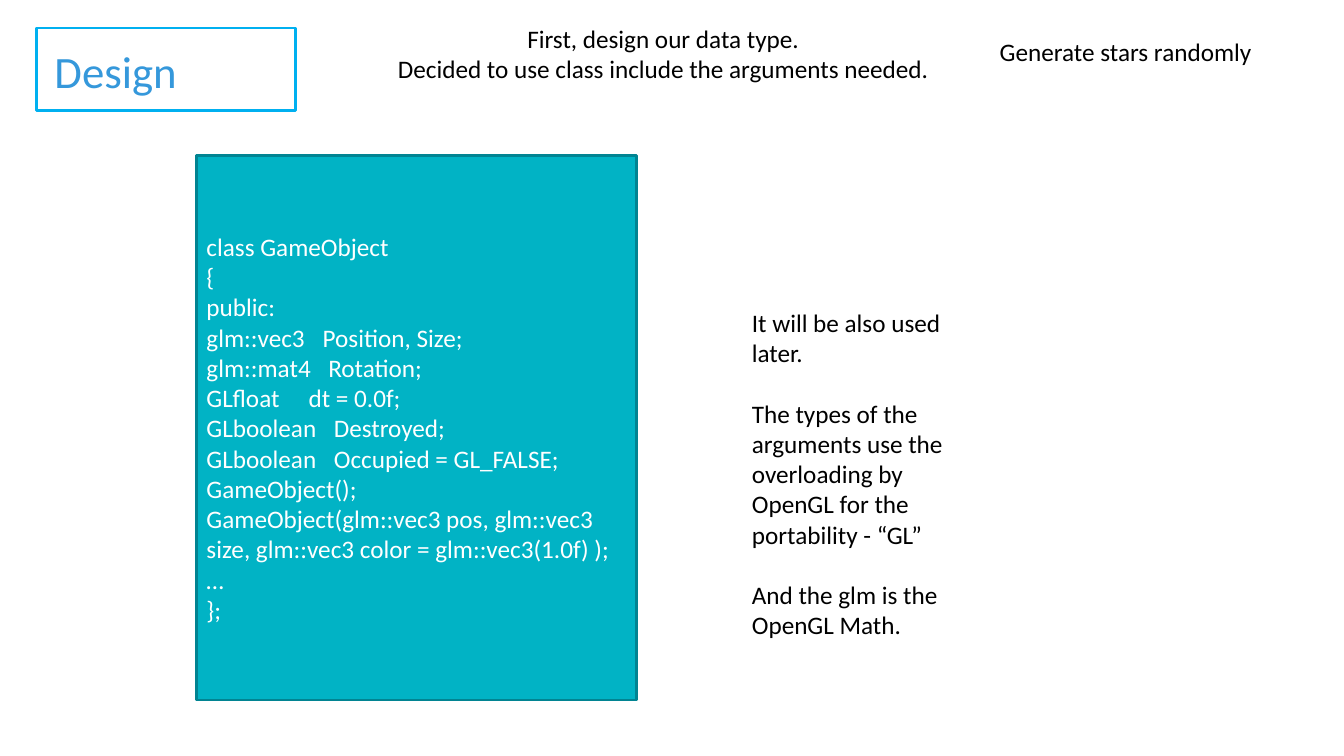
from lxml.etree import SubElement
from pptx import Presentation
from pptx.dml.color import RGBColor
from pptx.enum.shapes import MSO_SHAPE
from pptx.enum.text import MSO_ANCHOR, MSO_AUTO_SIZE, PP_ALIGN
from pptx.oxml.ns import qn
from pptx.util import Pt

BLACK = RGBColor(0x00, 0x00, 0x00)
WHITE = RGBColor(0xFF, 0xFF, 0xFF)
TITLE_BLUE = RGBColor(0x35, 0x98, 0xDB)
FRAME_BLUE = RGBColor(0x00, 0xB0, 0xF0)
TEAL = RGBColor(0x01, 0xB3, 0xC5)
DARK_TEAL = RGBColor(0x01, 0x84, 0x92)

INTRO = ["First, design our data type.",
         "Decided to use class include the arguments needed."]
NOTES = ["It will be also used later.",
         "The types of the arguments use the overloading by OpenGL "
         "for the portability - “GL”",
         "And the glm is the OpenGL Math."]
CODE = [("class GameObject", None),
        ("{", None),
        ("public:", None),
        ("glm::vec3\tPosition, Size;", 83),
        ("glm::mat4\tRotation;", 87),
        ("GLfloat\tdt = 0.0f;", 73),
        ("GLboolean\tDestroyed;", 91),
        ("GLboolean\tOccupied = GL_FALSE;", 91),
        ("GameObject();", None),
        ("GameObject(glm::vec3 pos, glm::vec3 size, "
         "glm::vec3 color = glm::vec3(1.0f) );", None),
        ("…", None),
        ("};", None)]


class Deck:
    font = "Calibri"
    size = 18

    def __init__(self, prs):
        self.slide = prs.slides.add_slide(prs.slide_layouts[5])

    def add_lines(self, sp, lines, color=BLACK, size=None,
                  align=PP_ALIGN.LEFT, gap=0, anchor=MSO_ANCHOR.TOP):
        tf = sp.text_frame
        tf.word_wrap = True
        tf.auto_size = MSO_AUTO_SIZE.NONE
        tf.vertical_anchor = anchor
        for i, line in enumerate(lines):
            p = tf.add_paragraph() if i else tf.paragraphs[0]
            p.alignment = align
            p.space_before = Pt(gap if i else 0)
            r = p.add_run()
            r.text = line
            r.font.name = self.font
            r.font.size = Pt(size or self.size)
            r.font.color.rgb = color
        return tf

    def title(self, text, x, y, w, h):
        sp = self.slide.shapes.title
        sp.left, sp.top, sp.width, sp.height = Pt(x), Pt(y), Pt(w), Pt(h)
        self.add_lines(sp, [text], TITLE_BLUE, 32)

    def text(self, lines, x, y, w, h, **style):
        sp = self.slide.shapes.add_textbox(Pt(x), Pt(y), Pt(w), Pt(h))
        self.add_lines(sp, lines, **style)

    def box(self, x, y, w, h, line, fill=None):
        sp = self.slide.shapes.add_shape(MSO_SHAPE.RECTANGLE,
                                         Pt(x), Pt(y), Pt(w), Pt(h))
        sp.shadow.inherit = False
        if fill is None:
            sp.fill.background()
        else:
            sp.fill.solid()
            sp.fill.fore_color.rgb = fill
        sp.line.color.rgb = line
        sp.line.width = Pt(2)
        return sp

    def code(self, rows, x, y, w, h):
        sp = self.box(x, y, w, h, DARK_TEAL, TEAL)
        tf = self.add_lines(sp, [text for text, _ in rows], WHITE,
                            anchor=MSO_ANCHOR.MIDDLE)
        for p, (_, stop) in zip(tf.paragraphs, rows):
            if stop:
                tabs = SubElement(p._p.get_or_add_pPr(), qn("a:tabLst"))
                SubElement(tabs, qn("a:tab"), pos=str(Pt(stop)), algn="l")


prs = Presentation()
prs.slide_width, prs.slide_height = Pt(960), Pt(540)
deck = Deck(prs)
deck.title("Design", 31.7, 27.4, 265, 46)
deck.box(25.9, 20, 185, 59, FRAME_BLUE)
deck.text(INTRO, 234, 13, 479.5, 51, align=PP_ALIGN.CENTER)
deck.text(["Generate stars randomly"], 707, 22.3, 214.6, 29)
deck.code(CODE, 140.4, 111, 314, 389)
deck.text(NOTES, 530, 216, 169, 247, gap=21.6)
prs.save("out.pptx")
